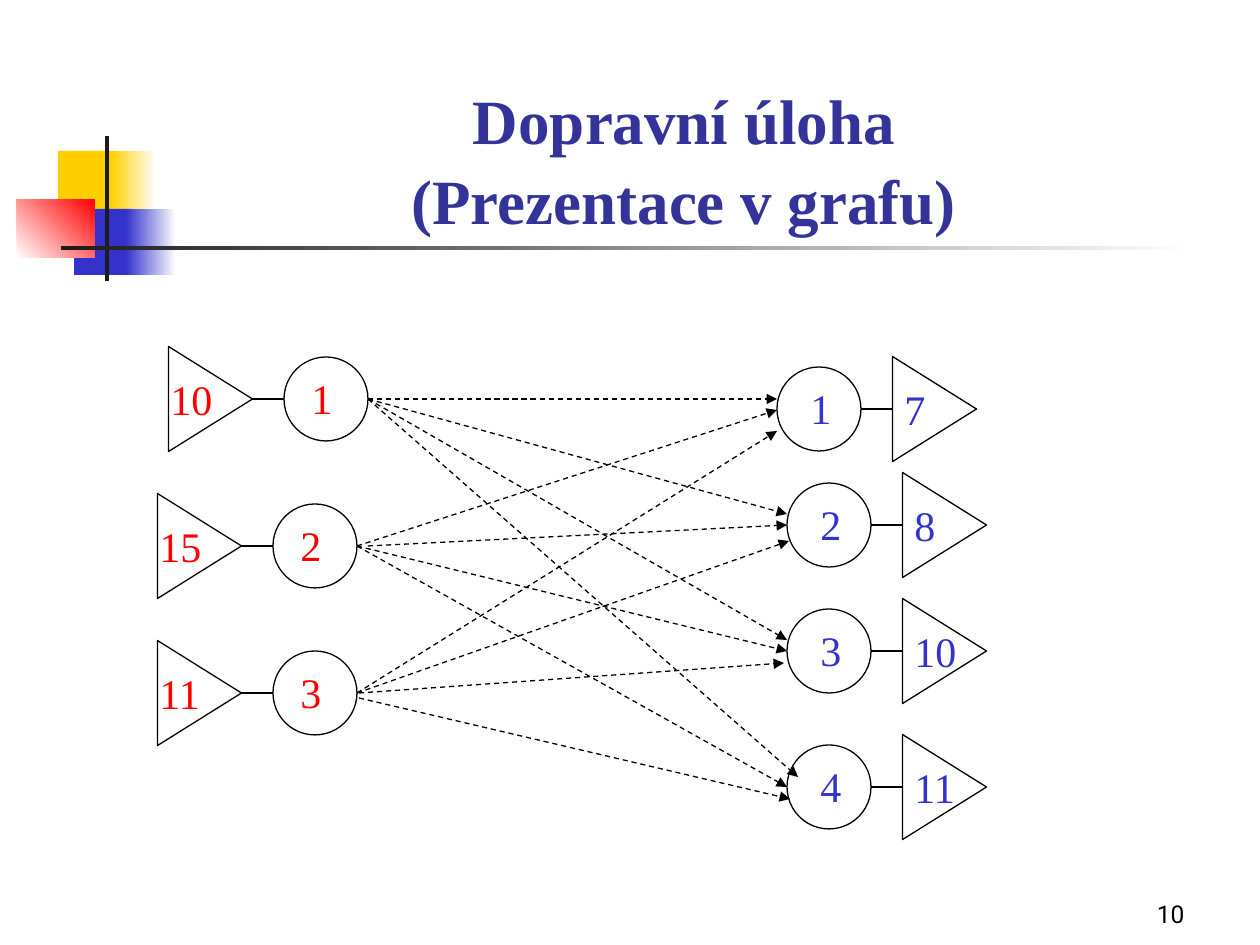
from typing import NamedTuple

import lxml.etree
import pptx
import pptx.dml.color
import pptx.enum.dml
import pptx.enum.shapes
import pptx.enum.text
import pptx.oxml.ns
import pptx.util

PX = 914400 / 126
RGB = pptx.dml.color.RGBColor
SHAPE = pptx.enum.shapes.MSO_SHAPE
ALIGN = pptx.enum.text.PP_ALIGN
ANCHOR = pptx.enum.text.MSO_ANCHOR

BLACK = RGB(0x00, 0x00, 0x00)
WHITE = RGB(0xFF, 0xFF, 0xFF)
CHARCOAL = RGB(0x1C, 0x1C, 0x1C)
YELLOW = RGB(0xFF, 0xCF, 0x01)
BLUE = RGB(0x33, 0x33, 0xCC)
RED = RGB(0xFF, 0x00, 0x00)
TITLE_BLUE = RGB(0x33, 0x33, 0x99)

DIAMETER = 84
TRIANGLE_WIDTH = 105
STUB = 32


class Block(NamedTuple):
    left: int
    top: int
    width: int
    height: int
    colors: tuple
    angle: int = 0


class Side(NamedTuple):
    color: RGB
    triangle_dx: int
    stub_dx: int
    name_dx: int
    amount_dx: int


class Node(NamedTuple):
    side: Side
    name: str
    amount: str
    left: int
    top: int


class Route(NamedTuple):
    x1: int
    y1: int
    x2: int
    y2: int


BLOCKS = [
    Block(58, 151, 60, 66, (YELLOW,)),
    Block(111, 151, 45, 66, (YELLOW, WHITE)),
    Block(74, 209, 58, 66, (BLUE,)),
    Block(126, 209, 50, 66, (BLUE, WHITE)),
    Block(17, 199, 78, 59, (WHITE, RED), 45),
    Block(105, 136, 4, 145, (CHARCOAL,)),
    Block(61, 246, 1134, 4, (CHARCOAL, WHITE)),
]

SUPPLY = Side(RED, -126, -STUB, 15, -126)
DEMAND = Side(BLUE, 105, DIAMETER, 21, 115)

NODES = [
    Node(SUPPLY, "1", "10", 284, 357),
    Node(SUPPLY, "2", "15", 273, 504),
    Node(SUPPLY, "3", "11", 273, 651),
    Node(DEMAND, "1", "7", 777, 367),
    Node(DEMAND, "2", "8", 787, 483),
    Node(DEMAND, "3", "10", 787, 609),
    Node(DEMAND, "4", "11", 787, 745),
]

ROUTES = [
    Route(368, 399, 777, 399),
    Route(368, 399, 787, 514),
    Route(368, 399, 787, 640),
    Route(368, 399, 798, 777),
    Route(357, 546, 777, 410),
    Route(368, 546, 787, 525),
    Route(357, 546, 787, 651),
    Route(357, 546, 787, 787),
    Route(357, 693, 777, 431),
    Route(357, 693, 789, 541),
    Route(359, 693, 784, 663),
    Route(359, 698, 790, 799),
]


def px(*values: int) -> list:
    return [pptx.util.Emu(round(value * PX)) for value in values]


def add_text(page, text: str, left: int, top: int, width: int, height: int, *,
             color: RGB, size: int = 24, font: str = "Times New Roman", bold: bool = False,
             align=ALIGN.LEFT, anchor=ANCHOR.TOP, spacing: float = 1.0) -> None:
    frame = page.shapes.add_textbox(*px(left, top, width, height)).text_frame
    frame.word_wrap = True
    frame.vertical_anchor = anchor
    para = frame.paragraphs[0]
    para.alignment = align
    para.line_spacing = spacing
    for index, line in enumerate(text.split("\n")):
        if index:
            para.add_line_break()
        span = para.add_run()
        span.text = line
        span.font.name = font
        span.font.size = pptx.util.Pt(size)
        span.font.bold = bold
        span.font.color.rgb = color


def add_block(page, block: Block) -> None:
    box = page.shapes.add_shape(SHAPE.RECTANGLE, *px(*block[:4]))
    box.shadow.inherit = False
    box.line.fill.background()
    if len(block.colors) == 1:
        box.fill.solid()
        box.fill.fore_color.rgb = block.colors[0]
        return
    box.fill.gradient()
    box.fill.gradient_angle = block.angle
    for stop, color in zip(box.fill.gradient_stops, block.colors):
        stop.color.rgb = color


def add_outline(page, kind, left: int, top: int, width: int, rotation: int = 0) -> None:
    outline = page.shapes.add_shape(kind, *px(left, top, width, DIAMETER))
    outline.rotation = rotation
    outline.shadow.inherit = False
    outline.fill.background()
    outline.line.color.rgb = BLACK
    outline.line.width = pptx.util.Pt(0.75)


def add_line(page, route: Route, arrow: bool = False) -> None:
    line = page.shapes.add_connector(pptx.enum.shapes.MSO_CONNECTOR.STRAIGHT, *px(*route))
    line.line.color.rgb = BLACK
    line.line.width = pptx.util.Pt(0.75)
    properties = line._element.spPr
    if arrow:
        line.line.dash_style = pptx.enum.dml.MSO_LINE.DASH
        stroke = properties.find(pptx.oxml.ns.qn("a:ln"))
        lxml.etree.SubElement(stroke, pptx.oxml.ns.qn("a:tailEnd"), type="triangle")
    lxml.etree.SubElement(properties, pptx.oxml.ns.qn("a:effectLst"))


def add_node(page, node: Node) -> None:
    side, left, top = node.side, node.left, node.top
    add_outline(page, SHAPE.OVAL, left, top, DIAMETER)
    add_outline(page, SHAPE.ISOSCELES_TRIANGLE, left + side.triangle_dx, top, TRIANGLE_WIDTH, 90)
    start, middle = left + side.stub_dx, top + DIAMETER // 2
    add_line(page, Route(start, middle, start + STUB, middle))
    add_text(page, node.name, left + side.name_dx, top + 9, 53, 63, color=side.color)
    add_text(page, node.amount, left + side.amount_dx, top + 10, 84, 63, color=side.color)


def main() -> None:
    deck = pptx.Presentation()
    deck.slide_width, deck.slide_height = px(1260, 945)
    page = deck.slides.add_slide(deck.slide_layouts[6])
    for block in BLOCKS:
        add_block(page, block)
    add_text(page, "10", 935, 872, 262, 63, color=BLACK, size=14, font="Roboto",
             align=ALIGN.RIGHT, anchor=ANCHOR.BOTTOM)
    add_text(page, "Dopravní úloha\n(Prezentace v grafu)", 148, 85, 1072, 158,
             color=TITLE_BLUE, size=36, bold=True, align=ALIGN.CENTER,
             anchor=ANCHOR.BOTTOM, spacing=1.05)
    for node in NODES:
        add_node(page, node)
    for route in ROUTES:
        add_line(page, route, arrow=True)
    deck.save("out.pptx")


if __name__ == "__main__":
    main()
